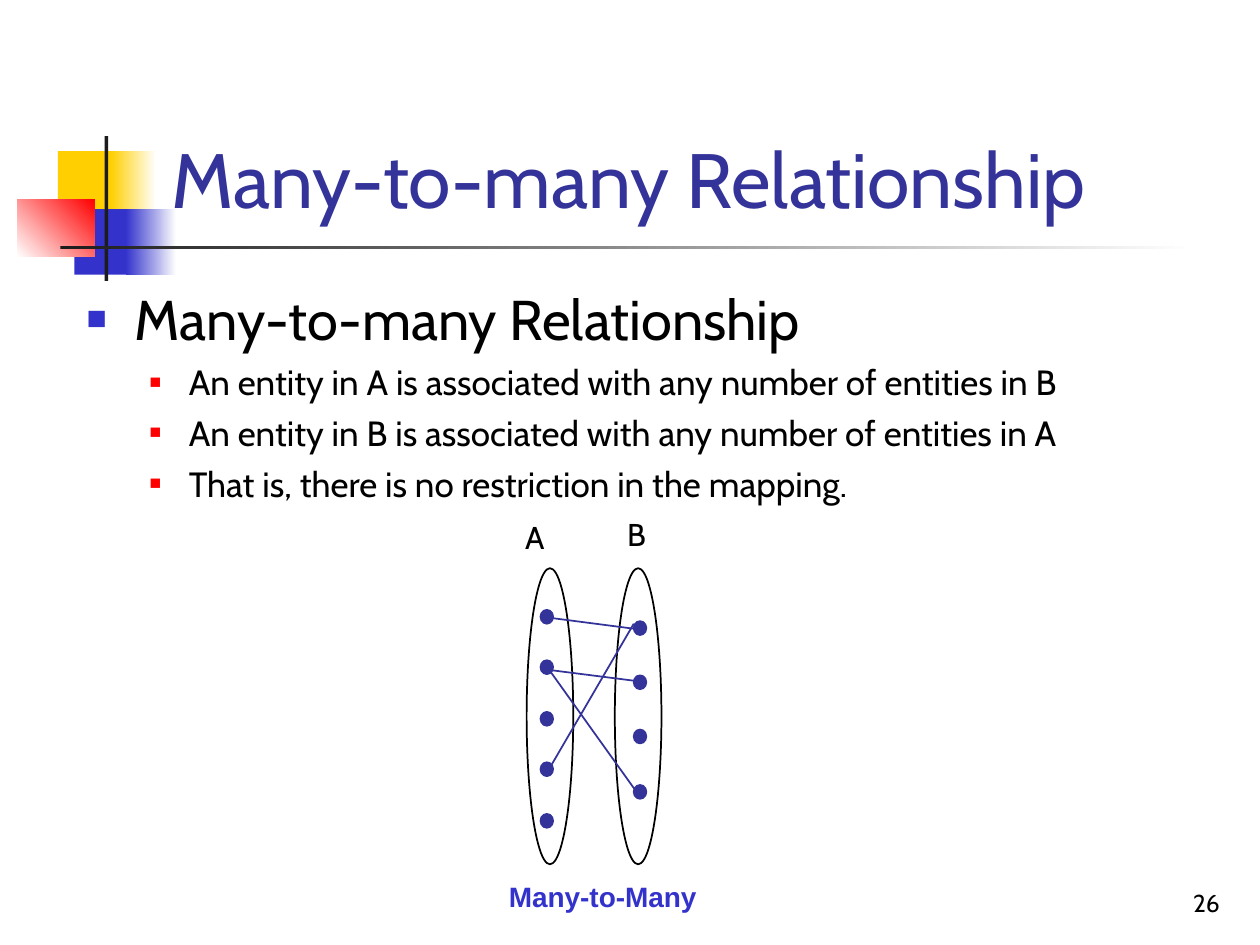
from lxml import etree
from pptx import Presentation
from pptx.dml.color import RGBColor
from pptx.enum.shapes import MSO_CONNECTOR as LINK, MSO_SHAPE as SHAPE
from pptx.enum.text import MSO_ANCHOR as ANCHOR, PP_ALIGN as ALIGN
from pptx.oxml.ns import qn
from pptx.util import Pt

PX = 9144  # 100 px to the inch
BLACK = RGBColor(0, 0, 0)
WHITE = RGBColor(255, 255, 255)
DARK = RGBColor(0x1C, 0x1C, 0x1C)
GOLD = RGBColor(0xFF, 0xCF, 0x01)
RED = RGBColor(255, 0, 0)
BLUE = RGBColor(0x33, 0x33, 0xCC)
NAVY = RGBColor(0x33, 0x33, 0x99)

prs = Presentation()
prs.slide_width, prs.slide_height = 1000 * PX, 750 * PX
slide = prs.slides.add_slide(prs.slide_layouts[6])
shapes = slide.shapes


def add(kind, *box):
    """Add a preset shape with no shadow."""
    shape = shapes.add_shape(kind, *[n * PX for n in box])
    shape.shadow.inherit = False
    return shape


def write(box, text, size, color, font="Cabin", wrap=True):
    """Add a text box with one paragraph for each line of text."""
    frame = shapes.add_textbox(*[n * PX for n in box]).text_frame
    frame.word_wrap = wrap
    frame.text = text
    for para in frame.paragraphs:
        for run in para.runs:
            run.font.name = font
            run.font.size = Pt(size)
            run.font.color.rgb = color
    return frame


# Corner ornament: start colour, end colour, angle
for box, start, end, angle in [
    ((46, 120, 48, 52), GOLD, GOLD, 0),
    ((88, 120, 36, 52), GOLD, WHITE, 0),
    ((59, 166, 46, 52), BLUE, BLUE, 0),
    ((100, 166, 40, 52), BLUE, WHITE, 0),
    ((14, 158, 61, 46), WHITE, RED, 45),
    ((83, 108, 3, 115), DARK, DARK, 0),
    ((48, 195, 900, 3), DARK, WHITE, 0),
]:
    block = add(SHAPE.RECTANGLE, *box)
    block.line.fill.background()
    if start == end:
        block.fill.solid()
        block.fill.fore_color.rgb = start
    else:
        block.fill.gradient()
        block.fill.gradient_angle = angle
        for stop, color in zip(block.fill.gradient_stops, (start, end)):
            stop.color.rgb = color

# Page number and title
page = write((770, 683, 208, 50), "26", 14, BLACK)
page.vertical_anchor = ANCHOR.BOTTOM
page.paragraphs[0].alignment = ALIGN.RIGHT
title = write((126, 23, 852, 160), "Many-to-many Relationship", 44, NAVY)
title.vertical_anchor = ANCHOR.BOTTOM

# Bulleted text
points = [
    "Many-to-many Relationship",
    "An entity in A is associated with any number of entities in B",
    "An entity in B is associated with any number of entities in A",
    "That is, there is no restriction in the mapping.",
]
body = write((59, 221, 920, 450), "\n".join(points), 20, BLACK)
for i, para in enumerate(body.paragraphs):
    left, hang, color, scale = (81, 31, RED, 55) if i else (38, 38, BLUE, 60)
    props = para._p.get_or_add_pPr()
    props.set("marL", str(left * PX))
    props.set("indent", str(-hang * PX))
    tint = etree.SubElement(props, qn("a:buClr"))
    etree.SubElement(tint, qn("a:srgbClr"), val=str(color))
    etree.SubElement(props, qn("a:buSzPct"), val=str(scale * 1000))
    etree.SubElement(props, qn("a:buFont"), typeface="Arial")
    etree.SubElement(props, qn("a:buChar"), char="■")
    if i:
        para.level = 1
        para.space_before = Pt(5)
body.paragraphs[0].runs[0].font.size = Pt(32)

# Mapping between sets A and B
label = write((394, 693, 169, 36), "Many-to-Many", 16, BLUE, "Arial", False)
label.paragraphs[0].runs[0].font.bold = True

for left in (418, 488):
    ring = add(SHAPE.OVAL, left, 451, 37, 235)
    ring.fill.background()
    ring.line.color.rgb = BLACK
    ring.line.width = Pt(1)

for ends in [
    (434, 490, 503, 499),
    (438, 532, 509, 541),
    (436, 610, 503, 495),
    (434, 529, 507, 631),
]:
    link = shapes.add_connector(LINK.STRAIGHT, *[n * PX for n in ends])
    link.line.color.rgb = NAVY
    link.line.width = Pt(1)
    etree.SubElement(link._element.spPr, qn("a:effectLst"))

for left, top, span, count in [(429, 484, 162, 5), (503, 493, 130, 4)]:
    for i in range(count):
        dot = add(SHAPE.OVAL, left, top + span * i // (count - 1), 10, 11)
        dot.fill.solid()
        dot.fill.fore_color.rgb = NAVY
        dot.line.color.rgb = NAVY
        dot.line.width = Pt(1)

for name, left, top in [("A", 407, 406), ("B", 488, 404)]:
    write((left, top, 36, 40), name, 18, BLACK, wrap=False)

prs.save("out.pptx")
